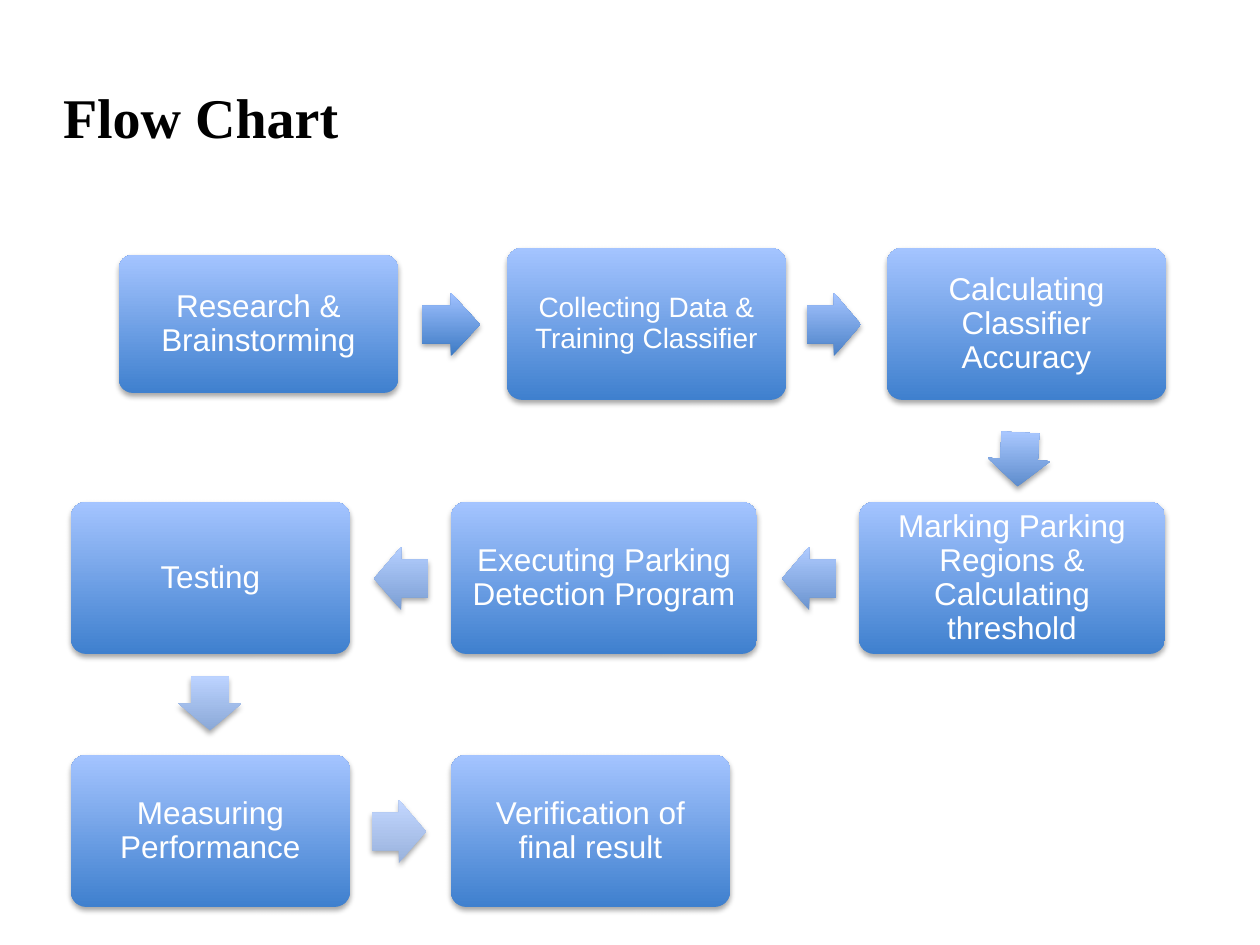
import pptx
import pptx.util
import pptx.dml.color
import pptx.enum.shapes
import pptx.enum.text
import pptx.oxml
import pptx.oxml.ns

RGB = pptx.dml.color.RGBColor
KIND = pptx.enum.shapes.MSO_SHAPE
ALIGN = pptx.enum.text.PP_ALIGN
MIDDLE = pptx.enum.text.MSO_ANCHOR.MIDDLE
BLACK = RGB(0, 0, 0)
WHITE = RGB(255, 255, 255)
BOX_LOW = RGB(0x3F, 0x80, 0xCE)
BOX_TOP = RGB(0xA4, 0xC4, 0xFF)
TINTS = [
    (RGB(0x3C, 0x7A, 0xC4), RGB(0xA0, 0xC1, 0xFF)),
    (RGB(0x4C, 0x82, 0xC8), RGB(0xA5, 0xC4, 0xFF)),
    (RGB(0x5C, 0x8B, 0xCB), RGB(0xAA, 0xC8, 0xFF)),
    (RGB(0x6B, 0x94, 0xCF), RGB(0xAF, 0xCB, 0xFF)),
    (RGB(0x7B, 0x9E, 0xD3), RGB(0xB5, 0xCF, 0xFF)),
    (RGB(0x8A, 0xA8, 0xD7), RGB(0xBC, 0xD3, 0xFF)),
    (RGB(0x99, 0xB2, 0xDC), RGB(0xC3, 0xD7, 0xFF)),
]
SHADE = (
    '<a:effectLst %s><a:outerShdw blurRad="40000" dist="23000" dir="5400000" '
    'rotWithShape="0"><a:srgbClr val="000000"><a:alpha val="35000"/>'
    '</a:srgbClr></a:outerShdw></a:effectLst>' % pptx.oxml.ns.nsdecls("a")
)


def px(num):
    return pptx.util.Emu(round(num * 914400 / 126))


class Chart:
    """Draws flow chart parts on one slide in a shared style."""

    def __init__(self, slide):
        self.slide = slide

    def label(self, frame, text, font, size, color, align, inset, bold=False):
        frame.text = text
        frame.word_wrap = True
        frame.vertical_anchor = MIDDLE
        frame.margin_left = frame.margin_right = px(inset)
        frame.margin_top = frame.margin_bottom = px(inset)
        para = frame.paragraphs[0]
        para.alignment = align
        run = para.runs[0].font
        run.name, run.size, run.bold = font, pptx.util.Pt(size), bold
        run.color.rgb = color
        return para

    def title(self, text, left, top, width, height):
        head = self.slide.shapes.title
        head.left, head.top = px(left), px(top)
        head.width, head.height = px(width), px(height)
        self.label(head.text_frame, text, "Times New Roman", 32, BLACK,
                   ALIGN.LEFT, 0, True)

    def shape(self, kind, left, top, width, height, low, high):
        item = self.slide.shapes.add_shape(
            kind, px(left), px(top), px(width), px(height))
        item.line.fill.background()
        item.fill.gradient()
        item.fill.gradient_angle = 90
        for stop, color in zip(item.fill.gradient_stops, (low, high)):
            stop.color.rgb = color
        props = item._element.spPr
        props.find(pptx.oxml.ns.qn("a:gradFill")).set("rotWithShape", "0")
        props.append(pptx.oxml.parse_xml(SHADE))
        return item

    def box(self, text, left, top, width=279, height=152, size=18):
        item = self.shape(KIND.ROUNDED_RECTANGLE, left, top, width, height,
                          BOX_LOW, BOX_TOP)
        item.adjustments[0] = 0.1
        para = self.label(item.text_frame, text, "Arial", size, WHITE,
                          ALIGN.CENTER, 14)
        para.line_spacing = 0.9

    def arrow(self, tint, left, top, turn=0, width=54):
        item = self.shape(KIND.RIGHT_ARROW, left, top, width, 63, *tint)
        item.adjustments[0] = 0.6
        item.adjustments[1] = 0.5
        item.rotation = turn


deck = pptx.Presentation()
deck.slide_width, deck.slide_height = px(1260), px(945)
flow = Chart(deck.slides.add_slide(deck.slide_layouts[5]))
flow.title("Flow Chart", 63, 38, 1134, 157)

ROW1, ROW2, ROW3 = 248, 502, 755
MID = 45
STEPS = [
    ("Research & Brainstorming", 119, ROW1 + 7, 279, 138),
    ("Collecting Data & Training Classifier", 507, ROW1, 279, 152, 16),
    ("Calculating Classifier Accuracy", 887, ROW1),
    ("Marking Parking Regions & Calculating threshold", 859, ROW2, 306),
    ("Executing Parking Detection Program", 451, ROW2, 306),
    ("Testing", 71, ROW2),
    ("Measuring Performance", 71, ROW3),
    ("Verification of final result", 451, ROW3),
]
LINKS = [
    (422, ROW1 + MID, 0, 58),
    (807, ROW1 + MID),
    (992, 428, 93.1),
    (782, ROW2 + MID, 180),
    (374, ROW2 + MID, 180),
    (183, 672, 90),
    (372, ROW3 + MID),
]
for step in STEPS:
    flow.box(*step)
for tint, link in zip(TINTS, LINKS):
    flow.arrow(tint, *link)

deck.save("out.pptx")
